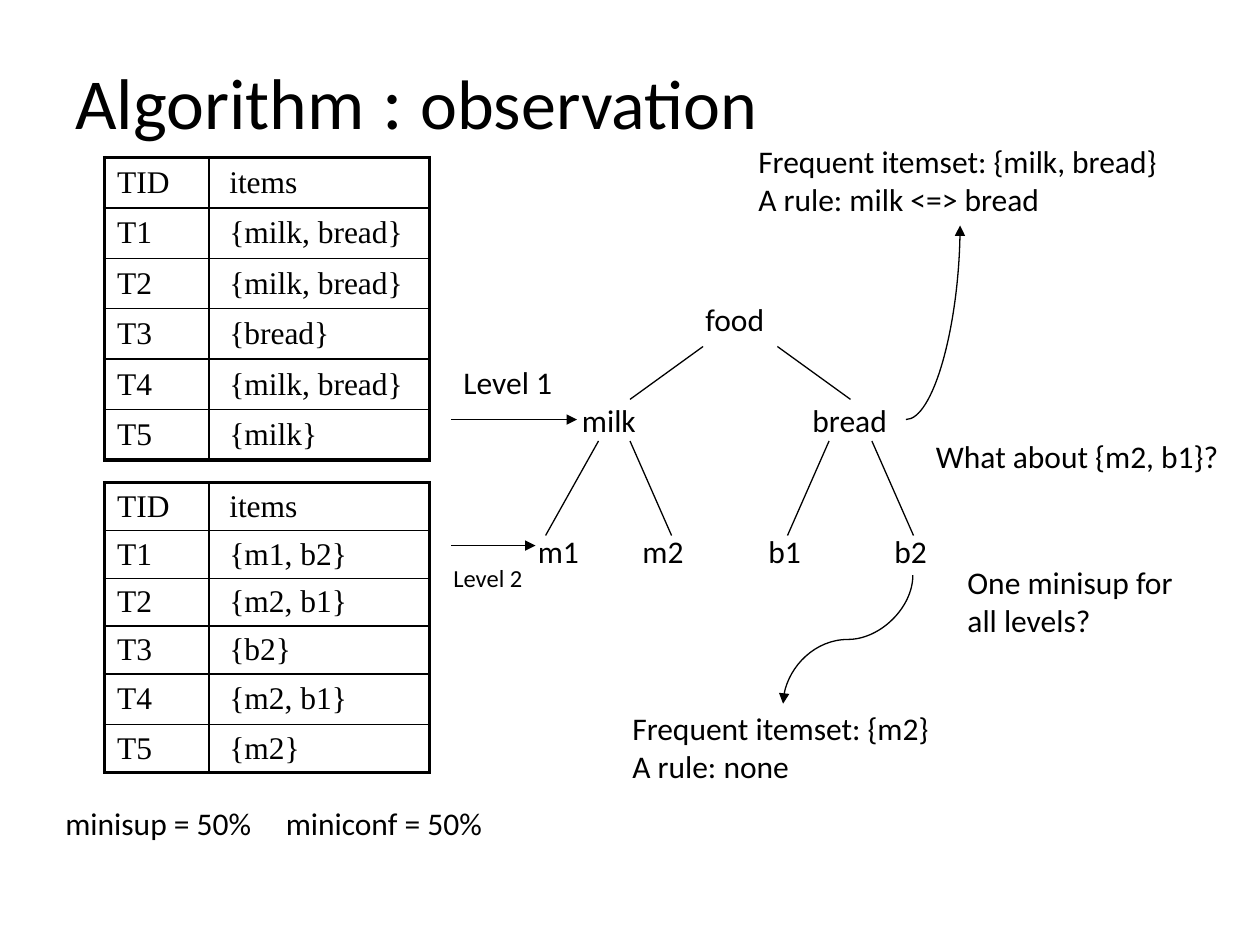
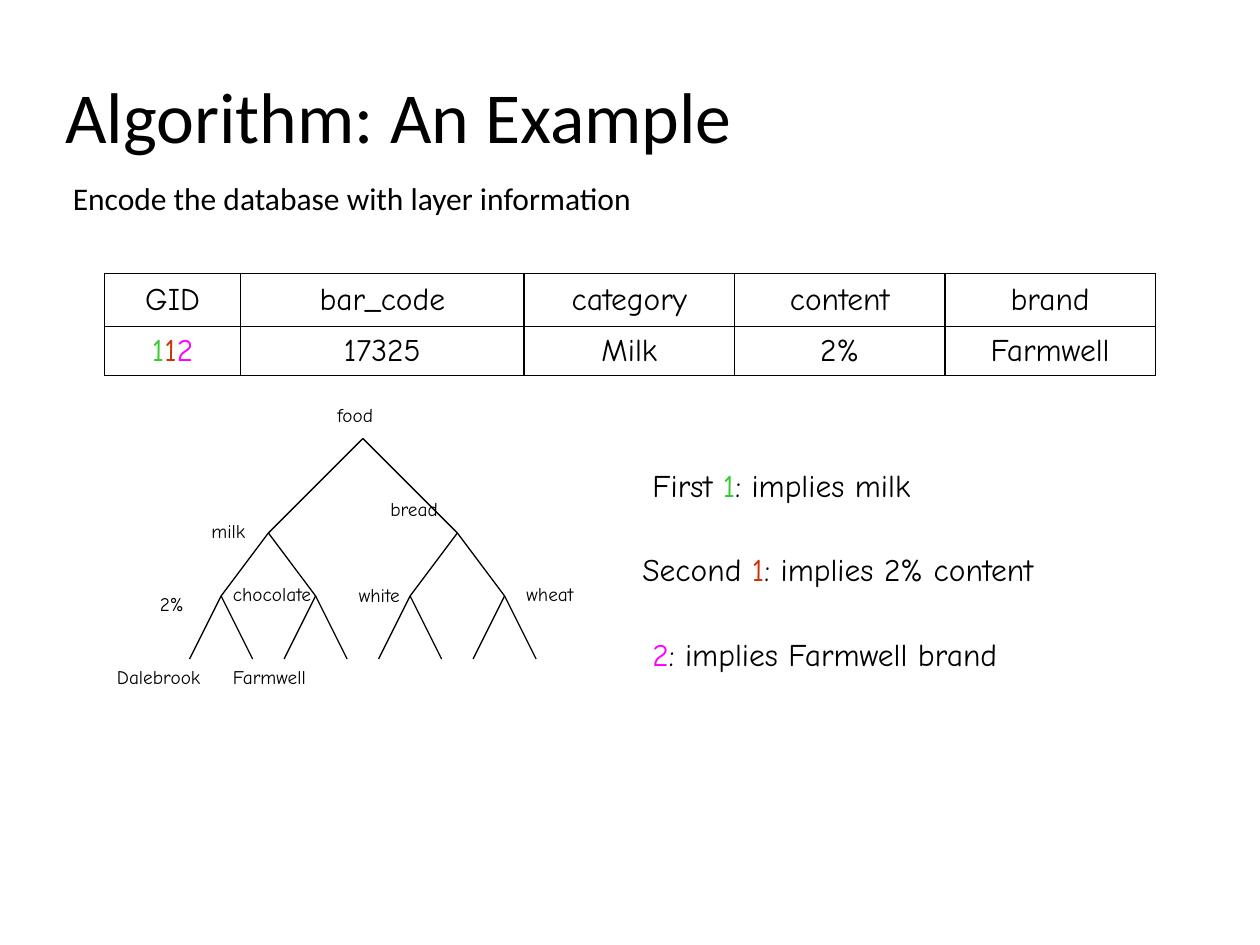
from dataclasses import dataclass

from lxml import etree
from pptx import Presentation
from pptx import util as u
from pptx.dml.color import RGBColor
from pptx.enum import shapes, text
from pptx.oxml import ns


@dataclass(frozen=True)
class Theme:
    ink: str = "000000"
    green: str = "33CC33"
    red: str = "CC3300"
    pink: str = "FF00FF"
    sans: str = "Calibri"
    comic: str = "Comic Neue"
    serif: str = "Times New Roman"
    title: float = 41
    body: float = 18
    small: float = 14
    tiny: float = 11
    hair: float = 0.75
    thin: float = 1
    thick: float = 2.25


T = Theme()
LINE = shapes.MSO_CONNECTOR.STRAIGHT
CURVE = shapes.MSO_CONNECTOR.CURVE


def style(run, size, font, color=T.ink):
    run.font.size = u.Pt(size)
    run.font.name = font
    run.font.color.rgb = RGBColor.from_string(color)


def write(par, parts, size, font):
    """Fill a paragraph from a string, or from (string, colour) pairs."""
    if isinstance(parts, str):
        parts = [(parts, T.ink)]
    for words, color in parts:
        run = par.add_run()
        run.text = words
        style(run, size, font, color)


def label(slide, box, *lines, size=T.body, font=T.sans, wrap=False):
    shape = slide.shapes.add_textbox(*map(u.Inches, box))
    frame = shape.text_frame
    frame.word_wrap = wrap
    for i, parts in enumerate(lines):
        par = frame.add_paragraph() if i else frame.paragraphs[0]
        write(par, parts, size, font)
    return frame


def head(slide, box, words):
    frame = label(slide, box, words, size=T.title, wrap=True)
    frame.vertical_anchor = text.MSO_ANCHOR.MIDDLE
    frame.paragraphs[0].line_spacing = 0.9
    return frame.paragraphs[0].runs


def link(slide, start, end, kind=LINE, arrow=False):
    conn = slide.shapes.add_connector(kind, *map(u.Inches, start + end))
    conn.line.width = u.Pt(T.hair)
    conn.line.color.rgb = RGBColor.from_string(T.ink)
    if arrow:
        tail = etree.SubElement(conn.line._get_or_add_ln(), ns.qn("a:tailEnd"))
        tail.set("type", "triangle")
    props = conn._element.spPr
    etree.SubElement(props, ns.qn("a:effectLst"))
    return props


def border(cell, widths):
    """Draw the left, right, top and bottom edges of a cell."""
    props = cell._tc.get_or_add_tcPr()
    for side, width in zip("LRTB", widths):
        edge = etree.SubElement(props, ns.qn(f"a:ln{side}"), w=str(u.Pt(width)))
        fill = etree.SubElement(edge, ns.qn("a:solidFill"))
        etree.SubElement(fill, ns.qn("a:srgbClr"), val=T.ink)


def grid(slide, x, y, cols, rows, data, font, rim=T.thin, align=None, inset=0.1):
    """Add a plain ruled table; rim is the width of its outer edge."""
    box = map(u.Inches, (x, y, sum(cols), sum(rows)))
    table = slide.shapes.add_table(len(rows), len(cols), *box).table
    table.first_row = table.horz_banding = False
    for col, width in zip(table.columns, cols):
        col.width = u.Inches(width)
    for r, (height, line) in enumerate(zip(rows, data)):
        table.rows[r].height = u.Inches(height)
        for c, parts in enumerate(line):
            cell = table.cell(r, c)
            outer = (c == 0, c == len(cols) - 1, r == 0, r == len(rows) - 1)
            border(cell, [rim if out else T.thin for out in outer])
            cell.fill.background()
            cell.vertical_anchor = text.MSO_ANCHOR.MIDDLE
            cell.margin_top = cell.margin_bottom = u.Inches(0.03)
            cell.margin_left = u.Inches(inset if c else 0.1)
            par = cell.text_frame.paragraphs[0]
            par.alignment = align
            write(par, parts, T.body, font)


def basket(slide, x, y, rows, sets):
    data = [("TID", "items")]
    data += [(f"T{i}", items) for i, items in enumerate(sets, 1)]
    grid(slide, x, y, (0.83, 1.75), rows, data, T.serif, T.thick, inset=0.16)


def levels(slide, x, y):
    """Food tree with its two level arrows on the left."""
    nodes = [("food", 1.33, 0, 0.69), ("milk", 0.35, 0.8, 0.65),
             ("bread", 2.18, 0.8, 0.84), ("m1", 0, 1.84, 0.55),
             ("m2", 0.83, 1.84, 0.55), ("b1", 1.83, 1.84, 0.48),
             ("b2", 2.83, 1.84, 0.48)]
    for name, dx, dy, wide in nodes:
        label(slide, (x + dx, y + dy, wide, 0.4), name)
    upper, lower = (0.42, 0.84), (1.17, 1.92)
    edges = [(1.41, 0.83, upper), (2, 2.58, upper), (0.58, 0.16, lower),
             (0.83, 1.16, lower), (2.41, 2.08, lower), (2.75, 3.08, lower)]
    for start, end, (top, low) in edges:
        link(slide, (x + start, y + top), (x + end, y + low))
    for end, dy in ((0.41, 1), (0.08, 2)):
        link(slide, (x - 0.59, y + dy), (x + end, y + dy), arrow=True)
    label(slide, (x - 0.59, y + 0.5, 1.01, 0.4), "Level 1")
    label(slide, (x - 0.67, y + 2.09, 0.83, 0.33), "Level 2", size=T.small)


def finds(slide, x, y):
    """Results and questions around the tree, with their curved arrows."""
    label(slide, (x + 1, y, 3.4, 0.71),
          "Frequent itemset: {milk, bread}", "A rule: milk <=> bread")
    label(slide, (x, y + 4.5, 2.58, 0.71),
          "Frequent itemset: {m2}", "A rule: none")
    label(slide, (x + 2.66, y + 3.34, 1.97, 0.7),
          "One minisup for", "all levels?")
    label(slide, (x + 2.41, y + 2.34, 2.62, 0.4), "What about {m2, b1}?")
    rise = link(slide, (x + 2.27, y + 2.25), (x + 2.7, y + 0.71), CURVE, True)
    rise.find(ns.qn("a:prstGeom")).set("prst", "curvedConnector2")
    drop = link(slide, (x + 1.3, y + 3.48), (x + 2.32, y + 4.51), CURVE, True)
    drop.find(ns.qn("a:xfrm")).set("rot", str(90 * 60000))


def observe(slide):
    runs = head(slide, (0.5, 0.33, 9, 1),
                [(part, T.ink) for part in ("Algorithm", " : ", "observation")])
    for run, size in zip(runs, (T.title, 44, 40)):
        run.font.size = u.Pt(size)
    both = "{milk, bread}"
    basket(slide, 0.83, 1.25, [0.4] * 6, (both, both, "{bread}", both, "{milk}"))
    basket(slide, 0.83, 3.83, [0.38] * 4 + [0.4, 0.38],
           ("{m1, b2}", "{m2, b1}", "{b2}", "{m2, b1}", "{m2}"))
    label(slide, (0.42, 6.33, 1.68, 0.4), "minisup = 50%")
    label(slide, (2.17, 6.33, 1.76, 0.4), "miniconf = 50%")
    levels(slide, 4.17, 2.33)
    finds(slide, 4.92, 1.08)


def branch(slide, x, y, steps):
    """Draw a binary tree; steps holds (half spread, drop) for each level."""
    if not steps:
        return
    (spread, drop), *rest = steps
    for side in (-spread, spread):
        link(slide, (x, y), (x + side, y + drop))
        branch(slide, x + side, y + drop, rest)


def foods(slide, x, y):
    branch(slide, x + 2.05, y + 0.33, [(0.75, 0.75), (0.375, 0.5), (0.25, 0.5)])
    names = [("food", 1.75, 0), ("milk", 0.75, 0.92), ("bread", 2.17, 0.75),
             ("2%", 0.34, 1.5), ("chocolate", 0.92, 1.42),
             ("white", 1.92, 1.43), ("wheat", 3.25, 1.42),
             ("Dalebrook", 0, 2.08), ("Farmwell", 0.92, 2.08)]
    for name, dx, dy in names:
        label(slide, (x + dx, y + dy, 1.17, 0.28), name,
              size=T.tiny, font=T.comic, wrap=True)


def digits(slide, x, y):
    """Say what each digit of the code stands for."""
    notes = [(0.08, 2.45, "First ", "1", T.green, ": implies milk"),
             (0, 3.66, "Second ", "1", T.red, ": implies 2% content"),
             (0.08, 3.23, "", "2", T.pink, ": implies Farmwell brand")]
    for i, (dx, wide, lead, digit, color, rest) in enumerate(notes):
        parts = [(lead, T.ink), (digit, color), (rest, T.ink)]
        label(slide, (x + dx, y + i * 0.67, wide, 0.4),
              [part for part in parts if part[0]], font=T.comic)


def example(slide):
    head(slide, (0.42, 0.33, 8.08, 1.25), "Algorithm: An Example")
    label(slide, (0.48, 1.37, 4.99, 0.4),
          "Encode the database with layer information")
    code = [("1", T.green), ("1", T.red), ("2", T.pink)]
    data = [("GID", "bar_code", "category", "content", "brand"),
            (code, "17325", "Milk", "2%", "Farmwell")]
    grid(slide, 0.83, 2.17, [1.08, 2.25] + [1.67] * 3, (0.42, 0.39), data,
         T.comic, align=text.PP_ALIGN.CENTER)
    foods(slide, 0.83, 3.15)
    digits(slide, 5, 3.65)


def main():
    deck = Presentation()
    deck.slide_width, deck.slide_height = u.Inches(10), u.Inches(7.5)
    for build in (observe, example):
        build(deck.slides.add_slide(deck.slide_layouts[6]))
    deck.save("out.pptx")


if __name__ == "__main__":
    main()
